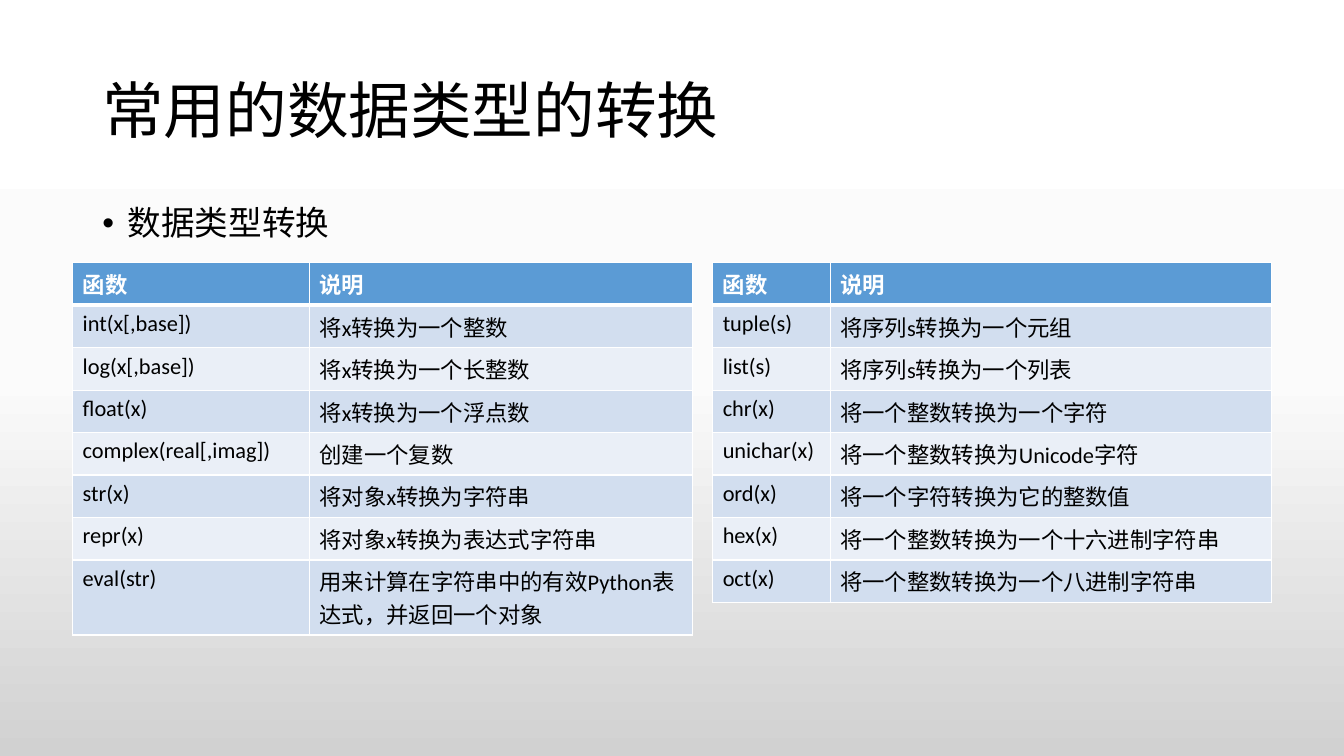
from copy import deepcopy

from lxml.etree import SubElement
from pptx import Presentation
from pptx.dml.color import RGBColor
from pptx.enum.text import MSO_ANCHOR as Anchor
from pptx.oxml.ns import qn
from pptx.util import Cm, Pt

FONT = "Calibri"
BLACK, WHITE = "000000", "FFFFFF"
HEADER_FILL = "5B9BD5"
BAND_FILLS = ["EAEFF7", "D2DEEF"]
BACKGROUND_STOPS = [(0, WHITE), (0.5, "FBFBFB"), (1, "D1D1D1")]
ROW_HEIGHT = 1.07
TWO_LINE_ROW_HEIGHT = 1.89
HEADER = ("函数", "说明")

NUMBER_AND_STRING_FUNCTIONS = [
    HEADER,
    ("int(x[,base])", "将x转换为一个整数"),
    ("log(x[,base])", "将x转换为一个长整数"),
    ("float(x)", "将x转换为一个浮点数"),
    ("complex(real[,imag])", "创建一个复数"),
    ("str(x)", "将对象x转换为字符串"),
    ("repr(x)", "将对象x转换为表达式字符串"),
    ("eval(str)", "用来计算在字符串中的有效Python表达式，并返回一个对象"),
]
SEQUENCE_AND_CHARACTER_FUNCTIONS = [
    HEADER,
    ("tuple(s)", "将序列s转换为一个元组"),
    ("list(s)", "将序列s转换为一个列表"),
    ("chr(x)", "将一个整数转换为一个字符"),
    ("unichar(x)", "将一个整数转换为Unicode字符"),
    ("ord(x)", "将一个字符转换为它的整数值"),
    ("hex(x)", "将一个整数转换为一个十六进制字符串"),
    ("oct(x)", "将一个整数转换为一个八进制字符串"),
]


def set_color(color_format, hex_color):
    color_format.rgb = RGBColor.from_string(hex_color)


def format_runs(paragraph, size, hex_color, bold=False):
    for run in paragraph.runs:
        run.font.name = FONT
        run.font.size = Pt(size)
        run.font.bold = bold
        set_color(run.font.color, hex_color)


def paint_background(slide):
    fill = slide.background.fill
    fill.gradient()
    fill.gradient_angle = 270
    stop_list = slide.element.find(".//" + qn("a:gsLst"))
    stop_list.insert(1, deepcopy(stop_list[0]))
    for stop, (position, hex_color) in zip(fill.gradient_stops, BACKGROUND_STOPS):
        stop.position = position
        set_color(stop.color, hex_color)


def add_text(slide, box, text, size, anchor):
    shape = slide.shapes.add_textbox(*map(Cm, box))
    frame = shape.text_frame
    frame.word_wrap = True
    frame.vertical_anchor = anchor
    frame.text = text
    paragraph = frame.paragraphs[0]
    paragraph.line_spacing = 0.9
    format_runs(paragraph, size, BLACK)
    return paragraph


def add_bullet(paragraph):
    paragraph.space_before = Pt(10)
    properties = paragraph._p.get_or_add_pPr()
    properties.set("marL", str(Cm(0.64)))
    properties.set("indent", str(-Cm(0.64)))
    SubElement(properties, qn("a:buFont"), typeface="Arial")
    SubElement(properties, qn("a:buChar"), char="•")


def add_borders(cell, row):
    top, bottom = (3 if row == 1 else 1), (3 if row == 0 else 1)
    properties = cell._tc.get_or_add_tcPr()
    for side, width in (("L", 1), ("R", 1), ("T", top), ("B", bottom)):
        line = SubElement(properties, qn(f"a:ln{side}"), w=str(Pt(width)))
        fill = SubElement(line, qn("a:solidFill"))
        SubElement(fill, qn("a:srgbClr"), val=WHITE)


def add_function_table(slide, left, top, widths, entries, last_height=ROW_HEIGHT):
    heights = [ROW_HEIGHT] * (len(entries) - 1) + [last_height]
    table = slide.shapes.add_table(
        len(entries), len(widths), Cm(left), Cm(top), Cm(sum(widths)), Cm(sum(heights))
    ).table
    for column, width in zip(table.columns, widths):
        column.width = Cm(width)
    for row, (entry, height) in enumerate(zip(entries, heights)):
        is_header = row == 0
        table.rows[row].height = Cm(height)
        for column, text in enumerate(entry):
            cell = table.cell(row, column)
            cell.text_frame.text = text
            format_runs(cell.text_frame.paragraphs[0], 16,
                        WHITE if is_header else BLACK, is_header)
            add_borders(cell, row)
            cell.fill.solid()
            set_color(cell.fill.fore_color,
                      HEADER_FILL if is_header else BAND_FILLS[row % 2])


def build_conversion_slide(presentation):
    slide = presentation.slides.add_slide(presentation.slide_layouts[6])
    paint_background(slide)
    add_text(slide, (2.33, 1.02, 29.21, 3.68), "常用的数据类型的转换", 44, Anchor.MIDDLE)
    add_bullet(add_text(slide, (2.33, 5.08, 29.21, 12.09), "数据类型转换", 24, Anchor.TOP))
    add_function_table(slide, 1.83, 6.62, (5.97, 9.65),
                       NUMBER_AND_STRING_FUNCTIONS, TWO_LINE_ROW_HEIGHT)
    add_function_table(slide, 17.96, 6.62, (2.96, 11.12),
                       SEQUENCE_AND_CHARACTER_FUNCTIONS)


def main():
    presentation = Presentation()
    presentation.slide_width = Cm(33.87)
    presentation.slide_height = Cm(19.05)
    build_conversion_slide(presentation)
    presentation.save("out.pptx")


if __name__ == "__main__":
    main()
